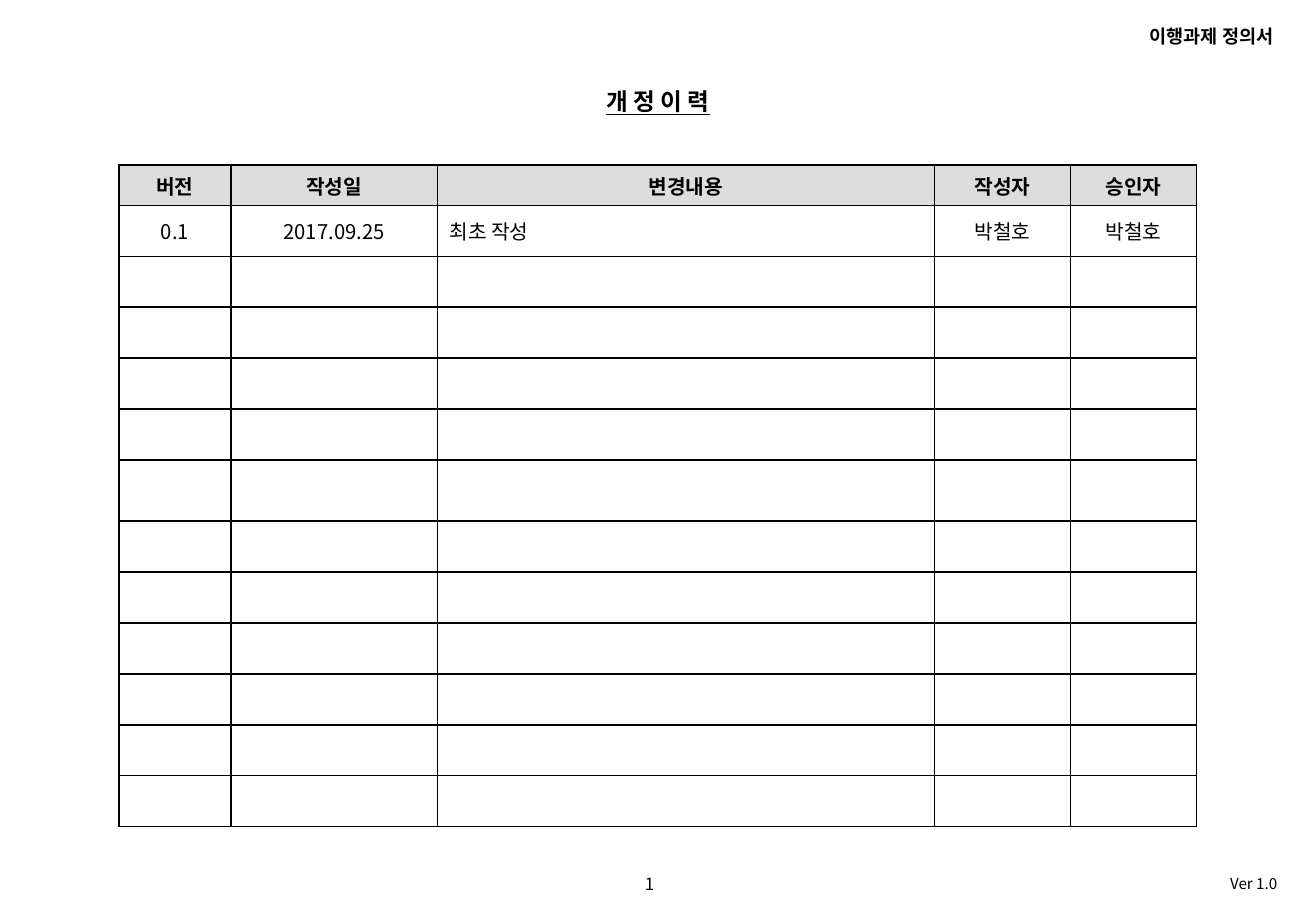
from dataclasses import dataclass

from lxml.etree import SubElement
from pptx import Presentation
from pptx.dml.color import RGBColor
from pptx.enum.text import MSO_ANCHOR as Anchor, MSO_AUTO_SIZE as AutoSize, PP_ALIGN as Align
from pptx.oxml.ns import qn
from pptx.util import Inches, Pt


@dataclass(frozen=True)
class Theme:
    """Colours, font and type sizes of the document."""
    font: str = "Noto Sans CJK KR"
    ink: str = "000000"
    header_fill: str = "DDDDDD"
    title: int = 14
    cell: int = 12
    running_head: int = 11
    page: int = 10
    version: int = 9
    border: int = 1


THEME = Theme()
SLIDE_SIZE = (10.83, 7.5)
COLUMNS = (0.92, 1.7, 4.09, 1.12, 1.04)
ROWS = (0.33, *[0.42] * 5, 0.5, *[0.42] * 6)
CONTENT_COLUMN = 2
HISTORY = (
    ("버전", "작성일", "변경내용", "작성자", "승인자"),
    ("0.1", "2017.09.25", "최초 작성", "박철호", "박철호"),
)


def add_run(paragraph, text, size, bold=False, underline=False):
    """Add one styled run to a paragraph."""
    run = paragraph.add_run()
    run.text = text
    font = run.font
    font.size, font.bold, font.underline = Pt(size), bold, underline
    font.color.rgb = RGBColor.from_string(THEME.ink)
    font.name = THEME.font
    SubElement(font._element, qn("a:ea"), typeface=THEME.font)


def fill_text(shape, box, text, size, align, **style):
    """Place a text shape in its box and write one line into it."""
    shape.left, shape.top, shape.width, shape.height = map(Inches, box)
    frame = shape.text_frame
    frame.word_wrap = True
    frame.auto_size = AutoSize.NONE
    frame.vertical_anchor = Anchor.MIDDLE
    frame.margin_left = frame.margin_right = Inches(0.1)
    frame.margin_top = frame.margin_bottom = Inches(0.05)
    paragraph = frame.paragraphs[0]
    paragraph.alignment = align
    add_run(paragraph, text, size, **style)


def add_label(slide, box, text, size, align, **style):
    """Add a one-line text box."""
    fill_text(slide.shapes.add_textbox(0, 0, 0, 0), box, text, size, align, **style)


def set_borders(cell):
    """Draw all four borders of a table cell."""
    properties = cell._tc.get_or_add_tcPr()
    for side in ("a:lnL", "a:lnR", "a:lnT", "a:lnB"):
        line = SubElement(properties, qn(side), w=str(Pt(THEME.border)))
        fill = SubElement(line, qn("a:solidFill"))
        SubElement(fill, qn("a:srgbClr"), val=THEME.ink)


def format_cell(cell, text, is_header, align):
    """Style one cell and write its text, if any."""
    set_borders(cell)
    if is_header:
        cell.fill.solid()
        cell.fill.fore_color.rgb = RGBColor.from_string(THEME.header_fill)
    else:
        cell.fill.background()
    cell.vertical_anchor = Anchor.MIDDLE
    cell.margin_top = cell.margin_bottom = Inches(0.03)
    paragraph = cell.text_frame.paragraphs[0]
    paragraph.alignment = align
    if text:
        add_run(paragraph, text, THEME.cell, bold=is_header)
    else:
        SubElement(paragraph._p, qn("a:endParaRPr"), sz=str(THEME.cell * 100))


def add_history_table(slide, left, top):
    """Add the revision table with its corner at the given point."""
    box = map(Inches, (left, top, sum(COLUMNS), sum(ROWS)))
    table = slide.shapes.add_table(len(ROWS), len(COLUMNS), *box).table
    table.horz_banding = False
    for column, width in zip(table.columns, COLUMNS):
        column.width = Inches(width)
    for row_index, (row, height) in enumerate(zip(table.rows, ROWS)):
        row.height = Inches(height)
        is_header = row_index == 0
        texts = HISTORY[row_index] if row_index < len(HISTORY) else [""] * len(COLUMNS)
        for column_index, (cell, text) in enumerate(zip(row.cells, texts)):
            is_content = column_index == CONTENT_COLUMN and not is_header
            format_cell(cell, text, is_header, Align.LEFT if is_content else Align.CENTER)


def add_running_labels(slide):
    """Add the document name, page number and version."""
    add_label(slide, (4.88, 7.14, 0.93, 0.27), "1", THEME.page, Align.CENTER)
    add_label(slide, (6.46, 7.15, 4.15, 0.25), "Ver 1.0", THEME.version, Align.RIGHT)
    add_label(slide, (7.08, 0.15, 3.5, 0.29), "이행과제 정의서", THEME.running_head,
              Align.RIGHT, bold=True)


def add_history_slide(presentation):
    """Add the revision history slide."""
    slide = presentation.slides.add_slide(presentation.slide_layouts[5])
    add_running_labels(slide)
    fill_text(slide.shapes.title, (4.54, 0.67, 1.75, 0.33), "개 정 이 력", THEME.title,
              Align.CENTER, bold=True, underline=True)
    add_history_table(slide, 0.98, 1.36)


def main():
    """Build and save the presentation."""
    presentation = Presentation()
    presentation.slide_width, presentation.slide_height = map(Inches, SLIDE_SIZE)
    add_history_slide(presentation)
    presentation.save("out.pptx")


if __name__ == "__main__":
    main()
